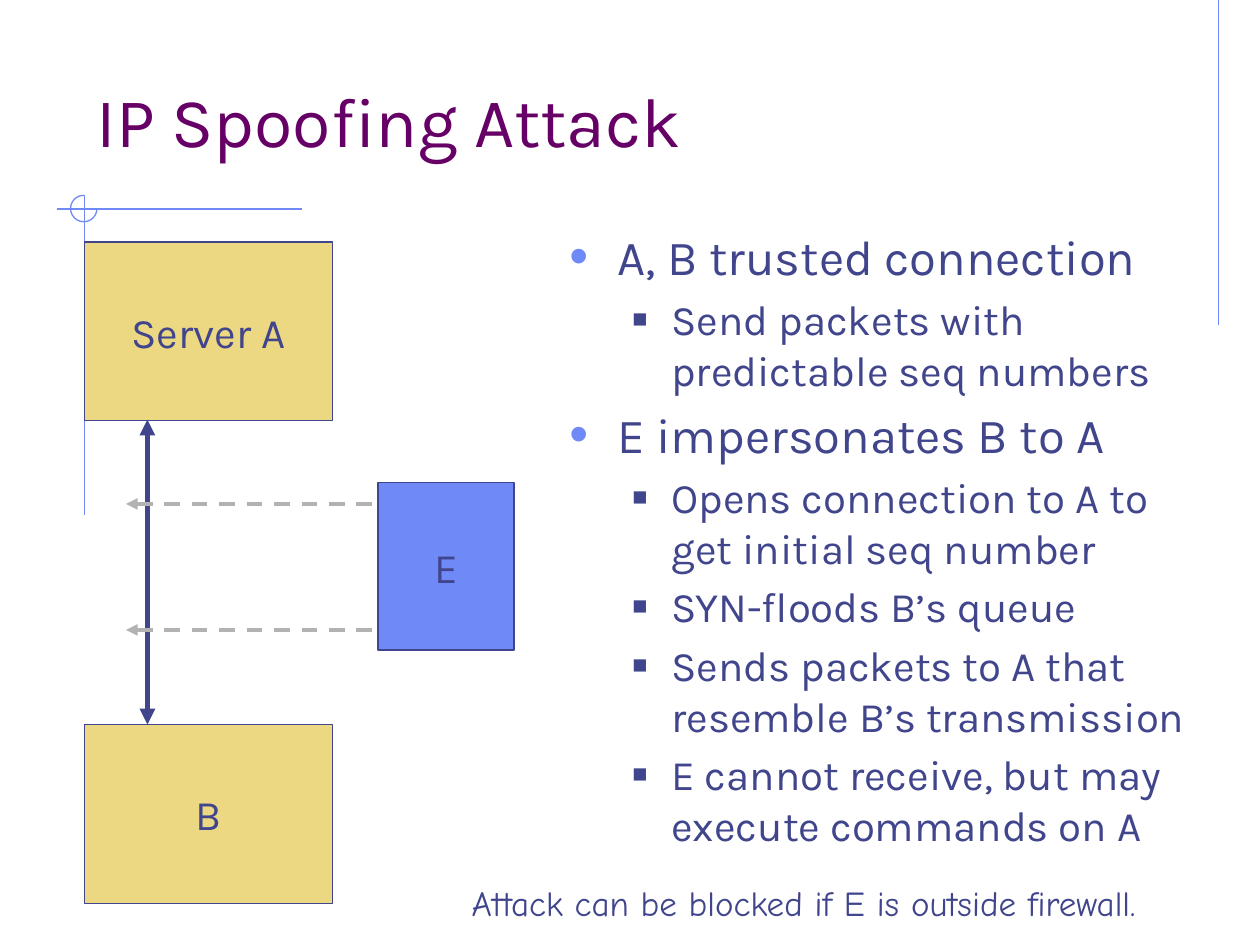
from dataclasses import dataclass

from lxml.etree import SubElement
from pptx import Presentation
from pptx.dml.color import RGBColor
from pptx.enum.dml import MSO_LINE as Dash
from pptx.enum.shapes import MSO_CONNECTOR as Conn, MSO_SHAPE as Shape
from pptx.enum.text import MSO_ANCHOR as Anchor, PP_ALIGN as Align
from pptx.oxml.ns import qn
from pptx.util import Inches, Pt


@dataclass(frozen=True)
class Theme:
    title: str = "660066"
    ink: str = "40458C"
    accent: str = "6F89F7"
    sand: str = "ECD882"
    grey: str = "B2B2B2"
    font: str = "Karla"
    note_font: str = "Comic Neue"
    title_size: int = 40
    body_sizes: tuple = (28, 24)
    label_size: int = 24
    note_size: int = 20


T = Theme()

# Per level: left margin, hanging indent, bullet, bullet colour, bullet percent
LEVELS = [(0.38, -0.38, "\u2022", T.accent, 110),
          (0.81, -0.31, "\u25a0", T.ink, 60)]

BODY = [(0, "A, B trusted connection"),
        (1, "Send packets with predictable seq numbers"),
        (0, "E impersonates B to A"),
        (1, "Opens connection to A to get initial seq number"),
        (1, "SYN-floods B\u2019s queue"),
        (1, "Sends packets to A that resemble B\u2019s transmission"),
        (1, "E cannot receive, but may execute commands on A")]


def rgb(value):
    return RGBColor.from_string(value)


def apply(obj, formats):
    for name, value in formats.items():
        setattr(obj, name, value)


def add_run(p, text, size, color=T.ink, font=T.font):
    r = p.add_run()
    r.text = text
    apply(r.font, {"size": Pt(size), "name": font})
    r.font.color.rgb = rgb(color)


def style_line(sp, color, width, dash=None, ends=()):
    sp.line.color.rgb = rgb(color)
    apply(sp.line, {"width": Pt(width), "dash_style": dash})
    for end in ends:
        SubElement(sp.line._get_or_add_ln(), qn(f"a:{end}"), type="triangle")


def add_line(slide, start, end, color=T.accent, width=0.75, ends=()):
    line = slide.shapes.add_connector(
        Conn.STRAIGHT, *(Inches(v) for v in (*start, *end)))
    style_line(line, color, width, ends=ends)
    SubElement(line._element.spPr, qn("a:effectLst"))


def add_text(slide, box, text, size, anchor, wrap=True, align=Align.LEFT, **look):
    tf = slide.shapes.add_textbox(*(Inches(v) for v in box)).text_frame
    apply(tf, {"word_wrap": wrap, "vertical_anchor": anchor})
    p = tf.paragraphs[0]
    p.alignment = align
    add_run(p, text, size, **look)


def add_host(slide, box, label, fill):
    sp = slide.shapes.add_shape(Shape.RECTANGLE, *(Inches(v) for v in box))
    sp.shadow.inherit = False
    sp.fill.solid()
    sp.fill.fore_color.rgb = rgb(fill)
    style_line(sp, T.ink, 0.75)
    tf = sp.text_frame
    apply(tf, {"word_wrap": False, "vertical_anchor": Anchor.MIDDLE})
    p = tf.paragraphs[0]
    p.alignment = Align.CENTER
    add_run(p, label, T.label_size)


def add_bullets(slide, box, items):
    tf = slide.shapes.add_textbox(*(Inches(v) for v in box)).text_frame
    tf.word_wrap = True
    for i, (level, text) in enumerate(items):
        p = tf.add_paragraph() if i else tf.paragraphs[0]
        left, indent, char, color, percent = LEVELS[level]
        size = T.body_sizes[level]
        apply(p, {"level": level, "space_before": Pt(size * 0.2)})
        pPr = p._p.get_or_add_pPr()
        pPr.set("marL", str(Inches(left)))
        pPr.set("indent", str(Inches(indent)))
        SubElement(SubElement(pPr, qn("a:buClr")), qn("a:srgbClr"), val=color)
        SubElement(pPr, qn("a:buSzPct"), val=str(percent * 1000))
        SubElement(pPr, qn("a:buFont"), typeface="Arial")
        SubElement(pPr, qn("a:buChar"), char=char)
        add_run(p, text, size)


def bezier(points, steps=16):
    """Sample a chain of cubic curves as short straight steps."""
    yield points[0]
    for k in range(0, len(points) - 1, 3):
        a, b, c, d = points[k:k + 4]
        for n in range(1, steps + 1):
            t = n / steps
            u = 1 - t
            yield tuple(u**3 * a[i] + 3 * u * u * t * b[i]
                        + 3 * u * t * t * c[i] + t**3 * d[i] for i in (0, 1))


def add_attack(slide, points):
    start, *rest = bezier(points)
    builder = slide.shapes.build_freeform(*start, scale=Inches(1))
    builder.add_line_segments(rest, close=False)
    sp = builder.convert_to_shape()
    sp.shadow.inherit = False
    sp.fill.background()
    style_line(sp, T.grey, 2.25, Dash.DASH, ["headEnd"])


def add_decoration(slide):
    for start, end in [((9.67, 0), (9.67, 2.58)),
                       ((0.45, 1.66), (2.4, 1.66)),
                       ((0.67, 1.55), (0.67, 4.09))]:
        add_line(slide, start, end)
    # Three-quarter circle, from the right clockwise to the top
    arc = slide.shapes.add_shape(
        Shape.ARC, *(Inches(v) for v in (0.56, 1.55, 0.21, 0.21)))
    arc.adjustments[0], arc.adjustments[1] = 0, 162
    arc.shadow.inherit = False
    arc.fill.background()
    style_line(arc, T.accent, 0.75)


def add_diagram(slide):
    for top, label in [(1.92, "Server A"), (5.75, "B")]:
        add_host(slide, (0.67, top, 1.97, 1.42), label, T.sand)
    add_line(slide, (1.17, 3.33), (1.17, 5.75), T.ink, 3, ["headEnd", "tailEnd"])
    # The two attack arrows mirror each other about the middle of E
    curve = [(1.33, 3.58), (1.48, 3.69), (1.91, 4.08), (2.24, 4.19),
             (2.57, 4.31), (3.09, 4.27), (3.31, 4.29)]
    axis = 4.49
    add_attack(slide, curve)
    add_attack(slide, [(x, 2 * axis - y) for x, y in curve])
    add_host(slide, (3, 3.83, 1.08, 1.33), "E", T.accent)


def main():
    prs = Presentation()
    apply(prs, {"slide_width": Inches(10), "slide_height": Inches(7.5)})
    slide = prs.slides.add_slide(prs.slide_layouts[6])
    add_decoration(slide)
    add_text(slide, (0.67, 0.33, 8.5, 1), "IP Spoofing Attack", T.title_size,
             Anchor.BOTTOM, color=T.title)
    add_bullets(slide, (4.42, 1.75, 5.35, 4.88), BODY)
    add_diagram(slide)
    add_text(slide, (3.32, 6.92, 6.12, 0.49),
             "Attack can be blocked if E is outside firewall.", T.note_size,
             Anchor.MIDDLE, wrap=False, align=Align.CENTER, font=T.note_font)
    prs.save("out.pptx")


main()
